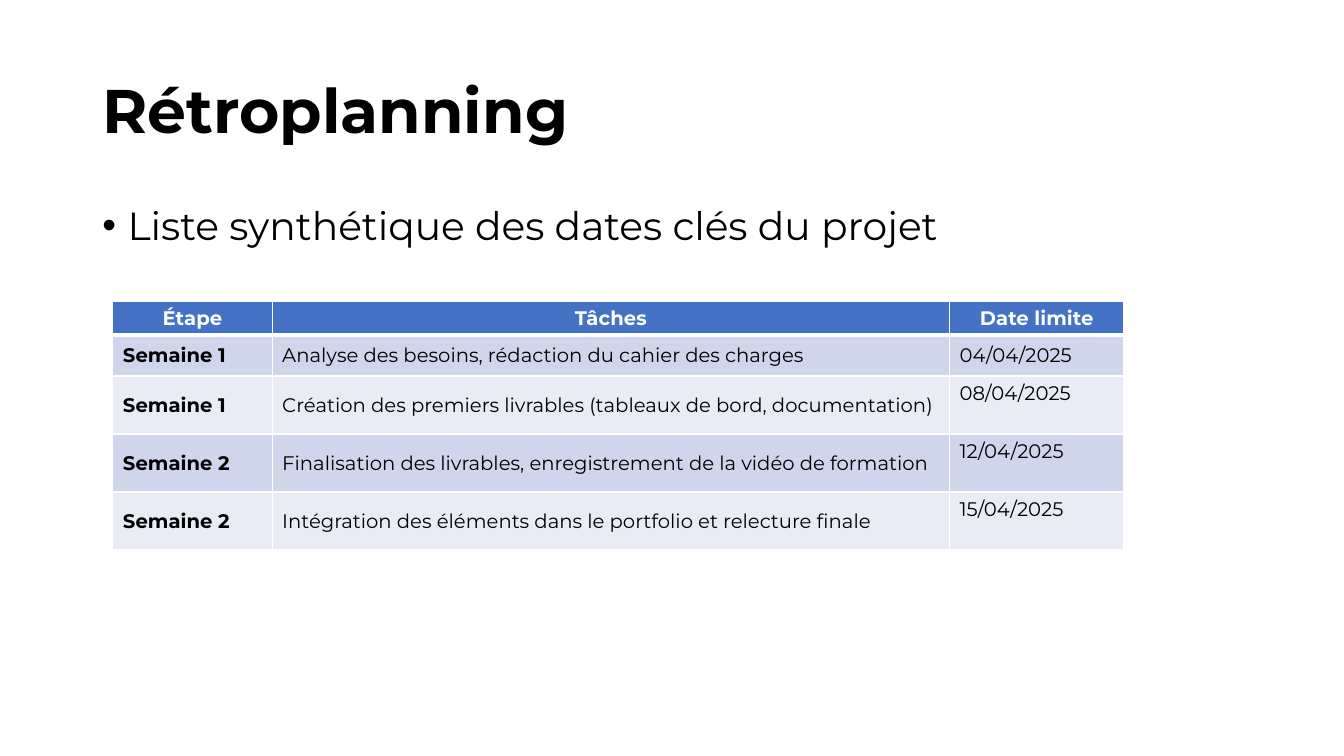
from lxml.etree import SubElement
from pptx import Presentation
from pptx.dml.color import RGBColor
from pptx.enum.text import MSO_ANCHOR, PP_ALIGN
from pptx.oxml.ns import qn
from pptx.util import Inches, Pt

COLORS = {
    "text": "000000",
    "heading": "FFFFFF",
    "border": "FFFFFF",
    "header": "4472C4",
    "odd": "CFD5EA",
    "even": "E9EBF5",
}
HEADINGS = ("Étape", "Tâches", "Date limite")
MILESTONES = (
    ("Semaine 1", "Analyse des besoins, rédaction du cahier des charges", "04/04/2025"),
    ("Semaine 1", "Création des premiers livrables (tableaux de bord, documentation)", "08/04/2025"),
    ("Semaine 2", "Finalisation des livrables, enregistrement de la vidéo de formation", "12/04/2025"),
    ("Semaine 2", "Intégration des éléments dans le portfolio et relecture finale", "15/04/2025"),
)


class SlideBuilder:
    font = "Montserrat"

    def __init__(self, presentation):
        self.col = presentation.slide_width / 100
        self.row = presentation.slide_height / 100
        self.slide = presentation.slides.add_slide(presentation.slide_layouts[6])

    def cols(self, count):
        return round(count * self.col)

    def rows(self, count):
        return round(count * self.row)

    def style(self, paragraph, size, color="text", bold=False):
        for run in paragraph.runs:
            run.font.name = self.font
            run.font.size = Pt(size)
            run.font.bold = bold
            run.font.color.rgb = RGBColor.from_string(COLORS[color])

    def text(self, wording, left, top, width, height, size, bold=False, anchor=MSO_ANCHOR.TOP):
        box = self.slide.shapes.add_textbox(
            self.cols(left), self.rows(top), self.cols(width), self.rows(height))
        frame = box.text_frame
        frame.word_wrap = True
        frame.vertical_anchor = anchor
        frame.text = wording
        paragraph = frame.paragraphs[0]
        paragraph.line_spacing = 0.9
        self.style(paragraph, size, bold=bold)
        return paragraph

    def bullet(self, wording, left, top, width, height, size):
        properties = self.text(wording, left, top, width, height, size)._p.get_or_add_pPr()
        indent = Inches(0.25)
        properties.set("marL", str(indent))
        properties.set("indent", str(-indent))
        SubElement(properties, qn("a:buFont"), typeface="Arial")
        SubElement(properties, qn("a:buChar"), char="•")

    def borders(self, cell, **widths):
        properties = cell._tc.get_or_add_tcPr()
        for side in "LRTB":
            line = SubElement(properties, qn(f"a:ln{side}"), w=str(Pt(widths.get(side, 1))))
            fill = SubElement(line, qn("a:solidFill"))
            SubElement(fill, qn("a:srgbClr"), val=COLORS["border"])

    def cell(self, cell, wording, fill, color="text", bold=False,
             align=PP_ALIGN.LEFT, anchor=MSO_ANCHOR.MIDDLE, **border_widths):
        self.borders(cell, **border_widths)
        cell.fill.solid()
        cell.fill.fore_color.rgb = RGBColor.from_string(COLORS[fill])
        cell.vertical_anchor = anchor
        cell.text = wording
        paragraph = cell.text_frame.paragraphs[0]
        paragraph.alignment = align
        self.style(paragraph, 14, color, bold)

    def schedule(self, left, top, widths, heights):
        table = self.slide.shapes.add_table(
            len(heights), len(widths), self.cols(left), self.rows(top),
            self.cols(sum(widths)), self.rows(sum(heights))).table
        for column, width in zip(table.columns, widths):
            column.width = self.cols(width)
        for row, height in zip(table.rows, heights):
            row.height = self.rows(height)
        for c, heading in enumerate(HEADINGS):
            self.cell(table.cell(0, c), heading, "header", "heading", True, PP_ALIGN.CENTER, B=3)
        for r, milestone in enumerate(MILESTONES, 1):
            for c, wording in enumerate(milestone):
                late_date = c == 2 and r > 1
                self.cell(table.cell(r, c), wording, "odd" if r % 2 else "even", bold=c == 0,
                          anchor=MSO_ANCHOR.TOP if late_date else MSO_ANCHOR.MIDDLE,
                          T=3 if r == 1 else 1)


def main():
    presentation = Presentation()
    presentation.slide_width = Inches(13.33)
    presentation.slide_height = Inches(7.5)
    builder = SlideBuilder(presentation)
    builder.text("Rétroplanning", 6.88, 5.33, 86.25, 19.33, 44, True, MSO_ANCHOR.MIDDLE)
    builder.bullet("Liste synthétique des dates clés du projet", 6.88, 26.67, 86.25, 63.45, 28)
    builder.schedule(8.4, 39.9, (11.85, 50.4, 12.98), (4.4, 5.4, 7.67, 7.67, 7.67))
    presentation.save("out.pptx")


if __name__ == "__main__":
    main()
